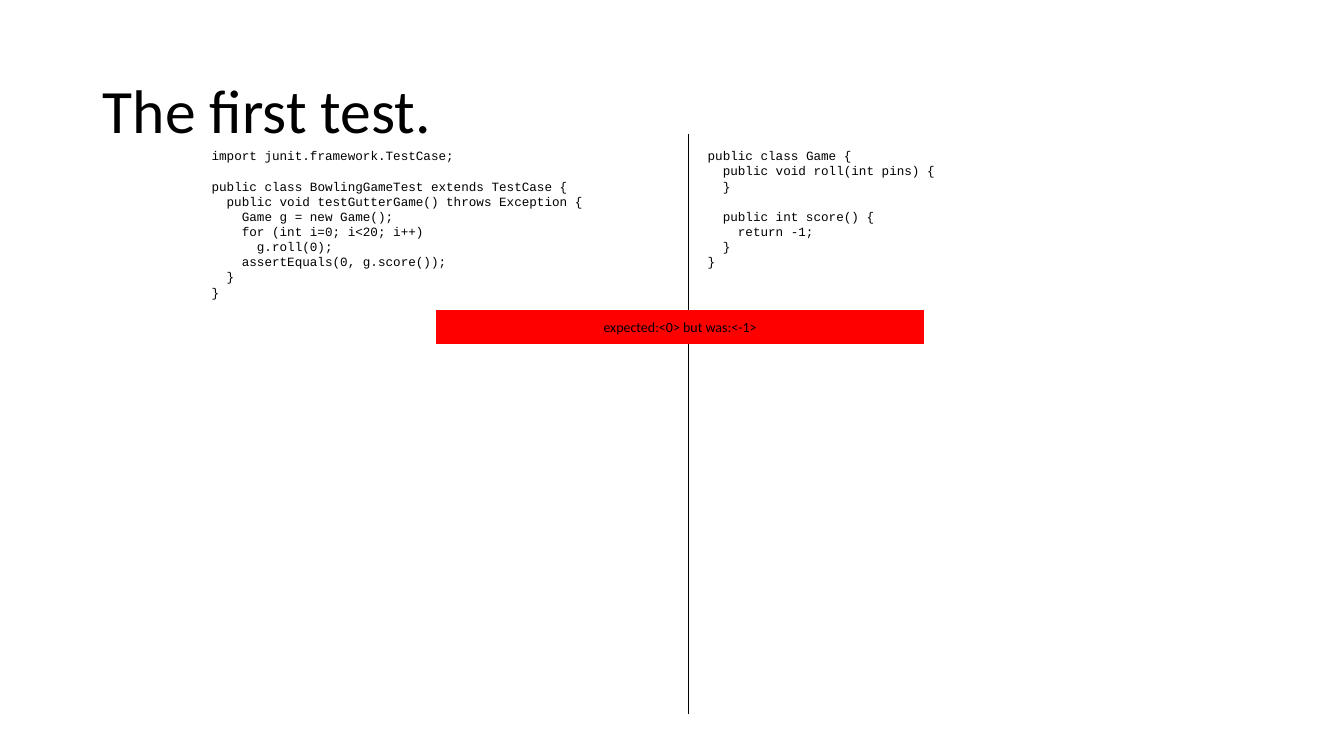
from pptx import Presentation
from pptx.dml.color import RGBColor
from pptx.enum.shapes import MSO_CONNECTOR, MSO_SHAPE
from pptx.enum.text import MSO_ANCHOR, MSO_AUTO_SIZE, PP_ALIGN
from pptx.oxml.ns import qn
from pptx.util import Inches, Pt
from lxml import etree

BLACK = RGBColor(0x00, 0x00, 0x00)
RED = RGBColor(0xFF, 0x00, 0x00)
BODY_FONT = "Calibri"
CODE_FONT = "Courier New"
CODE_LINE = Pt(10.8)    # height of one line of code
CODE_INDENT = Pt(10.8)  # width of two code characters

# Each line of code: nesting depth, text; None marks a one-line gap
TEST_CODE = [
    (0, "import junit.framework.TestCase;"),
    None,
    (0, "public class BowlingGameTest extends TestCase {"),
    (1, "public void testGutterGame() throws Exception {"),
    (2, "Game g = new Game();"),
    (2, "for (int i=0; i<20; i++)"),
    (3, "g.roll(0);"),
    (2, "assertEquals(0, g.score());"),
    (1, "}"),
    (0, "}"),
]
GAME_CODE = [
    (0, "public class Game {"),
    (1, "public void roll(int pins) {"),
    (1, "}"),
    None,
    (1, "public int score() {"),
    (2, "return -1;"),
    (1, "}"),
    (0, "}"),
]


def write(p, text, size=10, font=BODY_FONT, color=BLACK, align=PP_ALIGN.LEFT,
          line_spacing=None, space_before=None, indent=0):
    """Put one formatted run of text into a paragraph."""
    p.alignment = align
    if line_spacing is not None:
        p.line_spacing = line_spacing
    if space_before is not None:
        p.space_before = space_before
    if indent:
        pPr = p._p.get_or_add_pPr()
        pPr.set("marL", str(int(indent)))
        pPr.set("indent", "0")
    r = p.add_run()
    r.text = text
    r.font.size = Pt(size)
    r.font.name = font
    r.font.color.rgb = color


class SlideBuilder:
    """Holds the current slide and draws its elements in one style."""

    def __init__(self, slide, line_width=0.75):
        self.s = slide
        self.line_width = Pt(line_width)

    def title(self, text, left, top, width, height):
        sp = self.s.shapes.title
        sp.left, sp.top = Inches(left), Inches(top)
        sp.width, sp.height = Inches(width), Inches(height)
        tf = sp.text_frame
        tf.vertical_anchor = MSO_ANCHOR.MIDDLE
        write(tf.paragraphs[0], text, size=44, line_spacing=0.9)

    def code(self, lines, left, top, width, height):
        sp = self.s.shapes.add_textbox(
            Inches(left), Inches(top), Inches(width), Inches(height))
        tf = sp.text_frame
        tf.word_wrap = True
        tf.auto_size = MSO_AUTO_SIZE.SHAPE_TO_FIT_TEXT
        p, gap = tf.paragraphs[0], None
        for i, line in enumerate(lines):
            if line is None:
                gap = CODE_LINE
                continue
            if i:
                p = tf.add_paragraph()
            depth, text = line
            write(p, text, size=9, font=CODE_FONT, space_before=gap,
                  indent=depth * CODE_INDENT)
            gap = None

    def divider(self, x, top, bottom):
        line = self.s.shapes.add_connector(
            MSO_CONNECTOR.STRAIGHT,
            Inches(x), Inches(top), Inches(x), Inches(bottom))
        line.line.color.rgb = BLACK
        line.line.width = self.line_width
        etree.SubElement(line._element.spPr, qn("a:effectLst"))

    def bar(self, text, left, top, width, height, color):
        sp = self.s.shapes.add_shape(
            MSO_SHAPE.RECTANGLE,
            Inches(left), Inches(top), Inches(width), Inches(height))
        sp.shadow.inherit = False
        sp.fill.solid()
        sp.fill.fore_color.rgb = color
        sp.line.color.rgb = color
        sp.line.width = self.line_width
        tf = sp.text_frame
        tf.word_wrap = False
        tf.vertical_anchor = MSO_ANCHOR.MIDDLE
        write(tf.paragraphs[0], text, align=PP_ALIGN.CENTER)


def main():
    prs = Presentation()
    prs.slide_width, prs.slide_height = Inches(13.33), Inches(7.5)
    title_only = prs.slide_layouts[5]
    b = SlideBuilder(prs.slides.add_slide(title_only))

    # Heading
    b.title("The first test.", 0.92, 0.4, 11.5, 1.45)

    # Test code on the left, production code on the right
    b.code(TEST_CODE, 2, 1.42, 4.42, 1.62)
    b.divider(6.83, 1.33, 7.08)
    b.code(GAME_CODE, 6.92, 1.42, 4.42, 1.46)

    # Failing test result
    b.bar("expected:<0> but was:<-1>", 4.33, 3.08, 4.83, 0.33, RED)

    prs.save("out.pptx")


if __name__ == "__main__":
    main()
